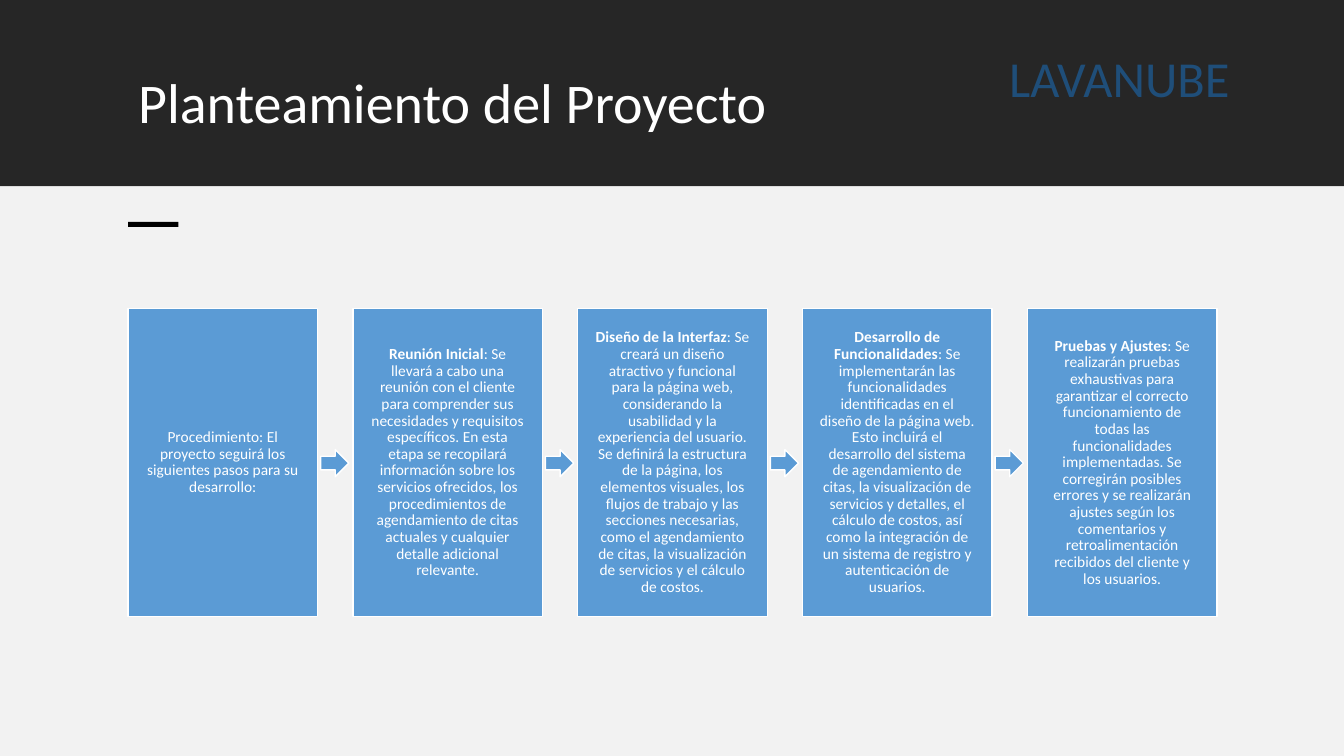
"""Build the project procedure slide with a row of steps joined by arrows."""
from dataclasses import dataclass

from lxml.etree import SubElement
from pptx import Presentation
from pptx.dml.color import RGBColor
from pptx.enum.shapes import MSO_SHAPE
from pptx.enum.text import MSO_ANCHOR, MSO_AUTO_SIZE, PP_ALIGN
from pptx.oxml.ns import qn
from pptx.shapes.autoshape import Shape
from pptx.slide import Slide
from pptx.text.text import _Paragraph as Paragraph, _Run as Run
from pptx.util import Emu, Pt

EMU_PER_PX = 9144


@dataclass(frozen=True)
class Theme:
    font: str = "Calibri"
    white: str = "FFFFFF"
    black: str = "000000"
    header: str = "262626"
    body: str = "F2F2F2"
    accent: str = "5B9BD5"
    brand: str = "1F4E79"
    title_size: int = 40
    brand_size: int = 36
    step_size: int = 11


@dataclass(frozen=True)
class Box:
    left: int
    top: int
    width: int
    height: int

    def emu(self) -> tuple[Emu, Emu, Emu, Emu]:
        return tuple(px(value) for value in (self.left, self.top, self.width, self.height))


@dataclass(frozen=True)
class Step:
    heading: str
    detail: str


THEME = Theme()
SLIDE_WIDTH, SLIDE_HEIGHT = 1333, 750
HEADER_HEIGHT = 185
MARGIN = 127
CARD = Box(MARGIN, 306, 188, 306)
CARD_PITCH = 223
CARD_INSET = 17
ARROW = Box(MARGIN + 191, 446, 28, 27)

STEPS = (
    Step("", "Procedimiento: El proyecto seguirá los siguientes pasos para su desarrollo:"),
    Step(
        "Reunión Inicial",
        ": Se llevará a cabo una reunión con el cliente para comprender sus necesidades y "
        "requisitos específicos. En esta etapa se recopilará información sobre los servicios "
        "ofrecidos, los procedimientos de agendamiento de citas actuales y cualquier detalle "
        "adicional relevante.",
    ),
    Step(
        "Diseño de la Interfaz",
        ": Se creará un diseño atractivo y funcional para la página web, considerando la "
        "usabilidad y la experiencia del usuario. Se definirá la estructura de la página, los "
        "elementos visuales, los flujos de trabajo y las secciones necesarias, como el "
        "agendamiento de citas, la visualización de servicios y el cálculo de costos.",
    ),
    Step(
        "Desarrollo de Funcionalidades",
        ": Se implementarán las funcionalidades identificadas en el diseño de la página web. "
        "Esto incluirá el desarrollo del sistema de agendamiento de citas, la visualización de "
        "servicios y detalles, el cálculo de costos, así como la integración de un sistema de "
        "registro y autenticación de usuarios.",
    ),
    Step(
        "Pruebas y Ajustes",
        ": Se realizarán pruebas exhaustivas para garantizar el correcto funcionamiento de "
        "todas las funcionalidades implementadas. Se corregirán posibles errores y se "
        "realizarán ajustes según los comentarios y retroalimentación recibidos del cliente y "
        "los usuarios.",
    ),
)


def px(value: int) -> Emu:
    return Emu(value * EMU_PER_PX)


def add_run(paragraph: Paragraph, text: str, *, size: int, color: str, bold: bool = False) -> Run:
    run = paragraph.add_run()
    run.text = text
    run.font.name = THEME.font
    run.font.size = Pt(size)
    run.font.bold = bold
    run.font.color.rgb = RGBColor.from_string(color)
    return run


def add_block(slide: Slide, box: Box, *, fill: str, outline: str | None = None,
              kind: MSO_SHAPE = MSO_SHAPE.RECTANGLE) -> Shape:
    shape = slide.shapes.add_shape(kind, *box.emu())
    shape.shadow.inherit = False
    shape.fill.solid()
    shape.fill.fore_color.rgb = RGBColor.from_string(fill)
    if outline:
        shape.line.color.rgb = RGBColor.from_string(outline)
        shape.line.width = Pt(1)
    else:
        shape.line.fill.background()
    return shape


def add_title(slide: Slide, text: str) -> None:
    title = slide.shapes.title
    title.left, title.top, title.width, title.height = Box(MARGIN, 70, 1081, 98).emu()
    frame = title.text_frame
    frame.auto_size = MSO_AUTO_SIZE.NONE
    frame.vertical_anchor = MSO_ANCHOR.TOP
    paragraph = frame.paragraphs[0]
    paragraph.alignment = PP_ALIGN.LEFT
    paragraph.line_spacing = 0.9
    add_run(paragraph, text, size=THEME.title_size, color=THEME.white)
    title.element.getparent().append(title.element)


def add_text_shadow(run: Run) -> None:
    effects = SubElement(run.font._element, qn("a:effectLst"))
    run.font.fill._xPr.find(qn("a:solidFill")).addnext(effects)
    shadow = SubElement(effects, qn("a:outerShdw"), blurRad="38100", dist="38100", dir="5400000")
    color = SubElement(shadow, qn("a:srgbClr"), val=THEME.black)
    SubElement(color, qn("a:alpha"), val="50000")


def add_brand(slide: Slide, text: str) -> None:
    frame = slide.shapes.add_textbox(*Box(991, 42, 251, 71).emu()).text_frame
    frame.word_wrap = False
    frame.auto_size = MSO_AUTO_SIZE.SHAPE_TO_FIT_TEXT
    paragraph = frame.paragraphs[0]
    paragraph.space_after = Pt(6)
    add_text_shadow(add_run(paragraph, text, size=THEME.brand_size, color=THEME.brand))


def add_step(slide: Slide, step: Step, offset: int) -> None:
    box = Box(CARD.left + offset, CARD.top, CARD.width, CARD.height)
    frame = add_block(slide, box, fill=THEME.accent, outline=THEME.white).text_frame
    frame.word_wrap = True
    frame.vertical_anchor = MSO_ANCHOR.MIDDLE
    frame.margin_left = frame.margin_right = px(CARD_INSET)
    frame.margin_top = frame.margin_bottom = px(CARD_INSET)
    paragraph = frame.paragraphs[0]
    paragraph.alignment = PP_ALIGN.CENTER
    paragraph.line_spacing = 0.9
    if step.heading:
        add_run(paragraph, step.heading, size=THEME.step_size, color=THEME.white, bold=True)
    add_run(paragraph, step.detail, size=THEME.step_size, color=THEME.white)


def add_arrow(slide: Slide, offset: int) -> None:
    box = Box(ARROW.left + offset, ARROW.top, ARROW.width, ARROW.height)
    add_block(slide, box, fill=THEME.accent, outline=THEME.white, kind=MSO_SHAPE.RIGHT_ARROW)


def main() -> None:
    presentation = Presentation()
    presentation.slide_width = px(SLIDE_WIDTH)
    presentation.slide_height = px(SLIDE_HEIGHT)
    slide = presentation.slides.add_slide(presentation.slide_layouts[5])

    add_block(slide, Box(0, 0, SLIDE_WIDTH, HEADER_HEIGHT), fill=THEME.header)
    add_title(slide, "Planteamiento del Proyecto")
    body = Box(0, HEADER_HEIGHT, SLIDE_WIDTH, SLIDE_HEIGHT - HEADER_HEIGHT)
    add_block(slide, body, fill=THEME.body)
    add_block(slide, Box(MARGIN, 220, 50, 5), fill=THEME.black)

    for index, step in enumerate(STEPS):
        offset = index * CARD_PITCH
        add_step(slide, step, offset)
        if index < len(STEPS) - 1:
            add_arrow(slide, offset)

    add_brand(slide, "LAVANUBE")
    presentation.save("out.pptx")


if __name__ == "__main__":
    main()
